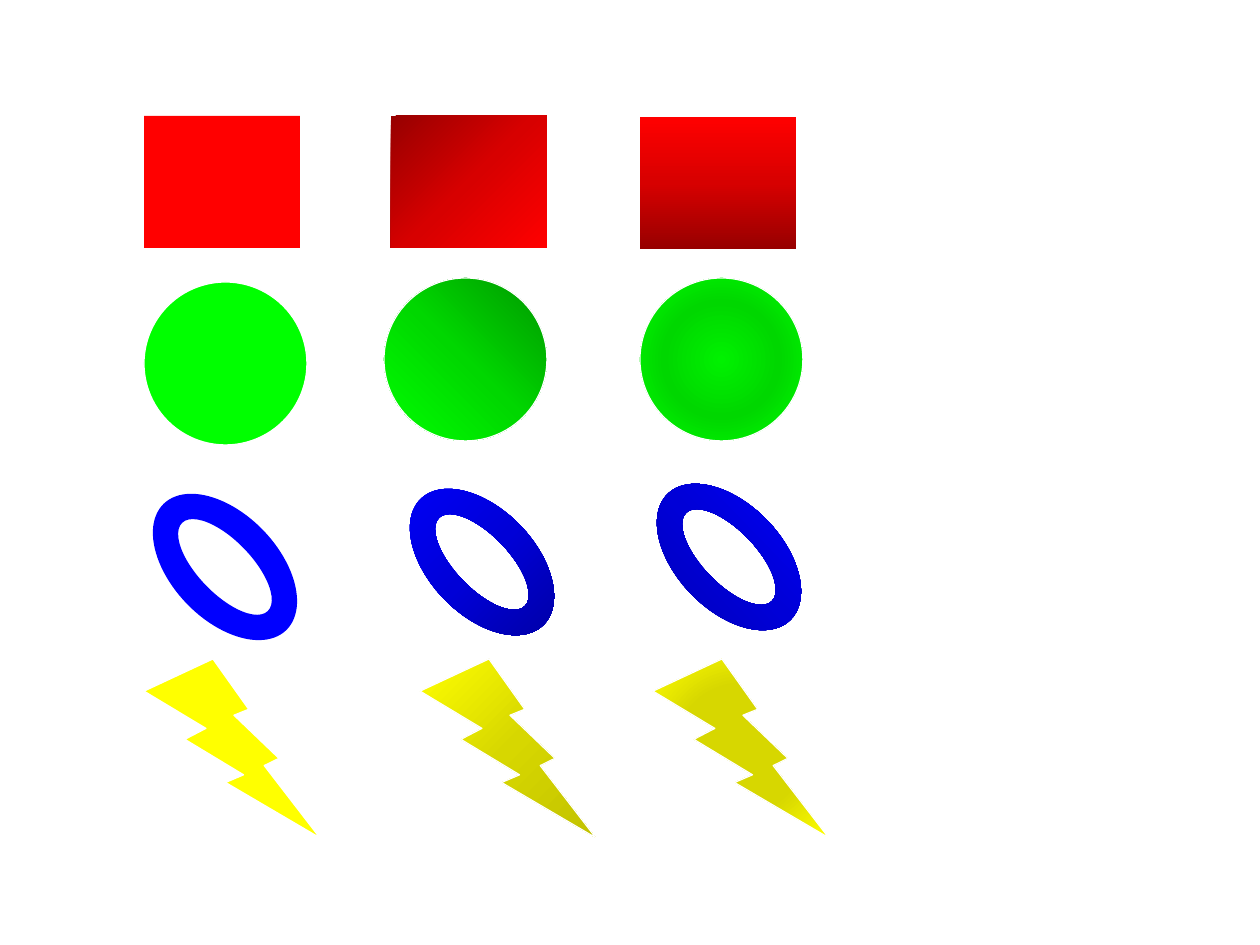
from lxml import etree
from pptx import Presentation
from pptx import util as u
from pptx.dml.color import RGBColor
from pptx.enum import shapes
from pptx.oxml import ns

PX = 914400 // 126  # EMU in one px
COLORS = {
    "red": "FF0000", "red_mid": "D70000", "red_dark": "970000",
    "green": "00FF00", "green_mid": "00D700", "green_dark": "009700",
    "green_light": "00F100",
    "blue": "0000FF", "blue_mid": "0000D7", "blue_dark": "000097",
    "blue_soft": "0000B0",
    "yellow": "FFFF00", "yellow_mid": "D7D700", "yellow_dark": "C2C200",
    "yellow_soft": "D8D800",
    "white": "FFFFFF",
}
PRESET = shapes.MSO_SHAPE

# Each kind: preset, width, height, rotation, base color, outlined
KINDS = {
    "box": (PRESET.RECTANGLE, 156, 132, 0, "red", False),
    "disc": (PRESET.OVAL, 163, 163, 0, "green", True),
    "ring": (PRESET.DONUT, 176, 106, 45.9, "blue", False),
    "bolt": (PRESET.LIGHTNING_BOLT, 176, 179, 0, "yellow", True),
}
CENTER = (50, 50, 50, 50)
CORNER = (100, 100, 0, 0)

# Each item: kind, left, top, first gradient color, angle or focus rectangle
ITEMS = [
    # Plain column
    ("box", 144, 116, None, None),
    ("disc", 144, 282, None, None),
    ("ring", 137, 514, None, None),
    ("bolt", 144, 659, None, None),
    # Gradient columns
    ("box", 391, 116, "red_dark", 45),
    ("box", 640, 117, "red_dark", 270),
    ("disc", 384, 278, "green_dark", 135),
    ("disc", 640, 278, "green_light", CENTER),
    ("ring", 394, 509, "blue_dark", CORNER),
    ("ring", 641, 504, "blue_soft", 270),
    ("bolt", 420, 659, "yellow_dark", CORNER),
    ("bolt", 653, 659, "yellow_soft", CENTER),
]


class Painter:
    """Holds the style and the current slide."""

    def __init__(self, page, colors):
        self.page = page
        self.colors = colors

    def rgb(self, name):
        return RGBColor.from_string(self.colors[name])

    def figure(self, kind, left, top):
        preset, width, height, rotation, color, outlined = KINDS[kind]
        figure = self.page.shapes.add_shape(
            preset, *(value * PX for value in (left, top, width, height)))
        figure.rotation = rotation
        figure.shadow.inherit = False
        figure.fill.solid()
        figure.fill.fore_color.rgb = self.rgb(color)
        if outlined:
            figure.line.color.rgb = self.rgb("white")
            figure.line.width = u.Pt(0.75)
        else:
            figure.line.fill.background()
        return figure

    def gradient(self, figure, names, direction):
        """Fill along an angle, or in circles around a focus rectangle."""
        solid = figure._element.spPr.find(ns.qn("a:solidFill"))
        grad = etree.Element(ns.qn("a:gradFill"), rotWithShape="1")
        stops = etree.SubElement(grad, ns.qn("a:gsLst"))
        for position, name in zip((0, 50, 100), names):
            stop = etree.SubElement(stops, ns.qn("a:gs"), pos=str(position * 1000))
            etree.SubElement(stop, ns.qn("a:srgbClr"), val=self.colors[name])
        if isinstance(direction, tuple):
            circle = etree.SubElement(grad, ns.qn("a:path"), {"path": "circle"})
            sides = {side: str(value * 1000) for side, value in zip("ltrb", direction)}
            etree.SubElement(circle, ns.qn("a:fillToRect"), sides)
        else:
            etree.SubElement(grad, ns.qn("a:lin"),
                             ang=str(direction * 60000), scaled="1")
        solid.getparent().replace(solid, grad)


def main():
    deck = Presentation()
    size = {"slide_width": u.Inches(10), "slide_height": u.Inches(7.5)}
    for name, value in size.items():
        setattr(deck, name, value)
    painter = Painter(deck.slides.add_slide(deck.slide_layouts[6]), COLORS)

    for kind, left, top, first, direction in ITEMS:
        figure = painter.figure(kind, left, top)
        if first:
            color = KINDS[kind][4]
            painter.gradient(figure, (first, f"{color}_mid", color), direction)

    deck.save("out.pptx")


if __name__ == "__main__":
    main()
